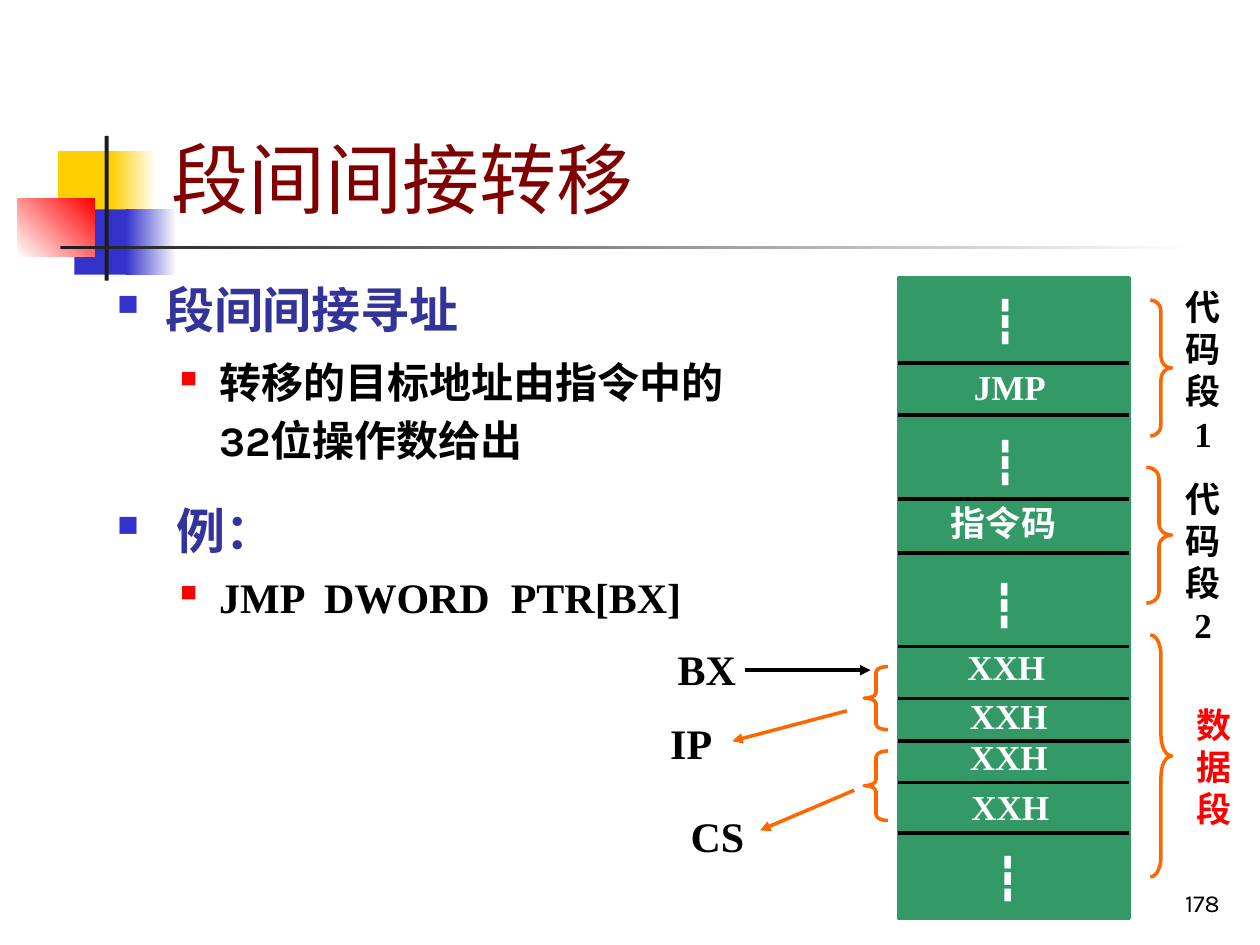
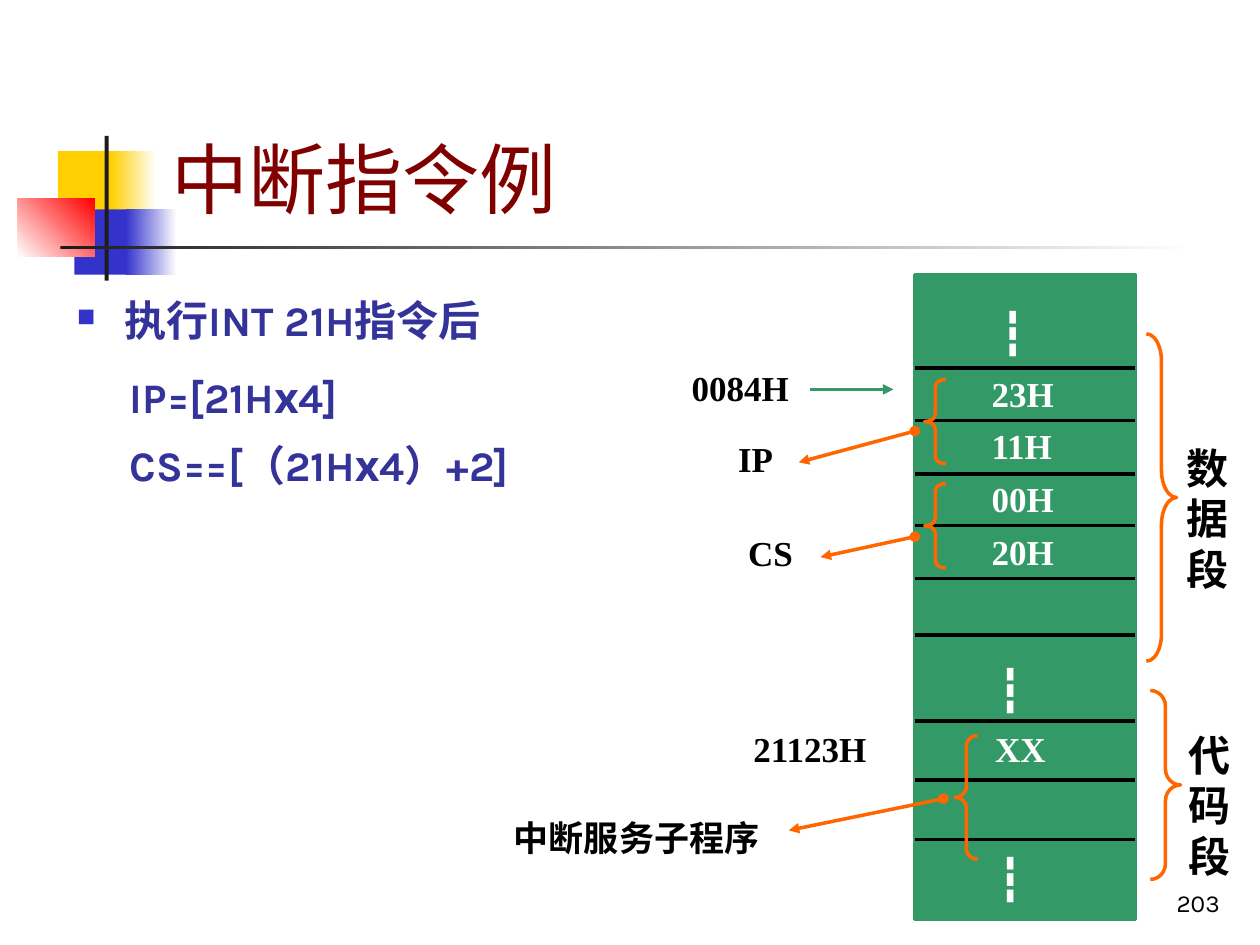
import pptx
import pptx.util
import pptx.dml.color
import pptx.enum.shapes
import pptx.enum.text
import pptx.oxml.ns
from lxml import etree

Cm, Pt = pptx.util.Cm, pptx.util.Pt
RGB = pptx.dml.color.RGBColor
SHAPE = pptx.enum.shapes.MSO_SHAPE
ALIGN = pptx.enum.text.PP_ALIGN
ANCHOR = pptx.enum.text.MSO_ANCHOR
qn = pptx.oxml.ns.qn

BLACK, WHITE = RGB(0, 0, 0), RGB(255, 255, 255)
INK = RGB(0x1C, 0x1C, 0x1C)
YELLOW = RGB(0xFF, 0xCF, 0x01)
BLUE = RGB(0x33, 0x33, 0xCC)
INDIGO = RGB(0x33, 0x33, 0x99)
RED = RGB(0xFF, 0, 0)
MAROON = RGB(0x80, 0, 0)
GREEN = RGB(0x33, 0x99, 0x66)
ORANGE = RGB(0xFF, 0x66, 0)
SANS, SERIF = "Karla", "Times New Roman"

# Shared decoration: box in cm, colours (one is solid, two a gradient), angle
DECORATION = [
    ((1.17, 3.05, 1.22, 1.32), [YELLOW], 0),
    ((2.24, 3.05, 0.91, 1.32), [YELLOW, WHITE], 0),
    ((1.5, 4.22, 1.17, 1.32), [BLUE], 0),
    ((2.54, 4.22, 1.02, 1.32), [BLUE, WHITE], 0),
    ((0.36, 4.01, 1.55, 1.17), [WHITE, RED], 45),
    ((2.11, 2.74, 0.08, 2.92), [INK], 0),
    ((1.22, 4.95, 22.86, 0.08), [INK, WHITE], 0),
]
TITLE_BOX = (3.2, 0.58, 21.64, 4.06)
NUMBER_BOX = (19.56, 17.35, 5.28, 1.27)

# Body levels: left margin, first-line indent, bullet colour, bullet size in %
LEVELS = {
    "main": (0.97, -0.97, BLUE, 60),
    "sub": (2.06, -0.79, RED, 55),
    "plain": (1.07, 0, None, None),
}

# Slide content, positions in cm.
# body: text, level, size, font, colour, space before and after in % of size
# labels: text, x, y; segments: text, x, y, colour
# braces: x, y, width, height; arrows: start, end, colour, oval start
SLIDES = [
    dict(
        title="段间间接转移", number="178",
        body_box=(2.11, 5.33, 12.83, 10.31), line_spacing=1.15,
        body=[
            ("段间间接寻址", "main", 28, SANS, INDIGO, 20, 5),
            ("转移的目标地址由指令中的32位操作数给出", "sub", 24, SANS, BLACK, 20, 40),
            (" 例：", "main", 28, SANS, INDIGO, 20, 5),
            ("JMP  DWORD  PTR[BX]", "sub", 24, SERIF, BLACK, 5, 5),
        ],
        memory=(18.11, 5.61, 4.65, 12.9),
        dividers=[7.32, 8.37, 10.06, 11.15, 13.03, 14.08, 14.94, 15.77, 16.79],
        cells=[("JMP", 19.38, 7.24), ("指令码", 18.92, 9.98), ("XXH", 19.25, 12.88),
               ("XXH", 19.3, 13.87), ("XXH", 19.3, 14.71), ("XXH", 19.33, 15.7)],
        dots=[(19.76, 5.82), (19.76, 8.66), (19.74, 11.53), (19.81, 17.04)],
        tag_size=24,
        tags=[("BX", 13.41, 12.85), ("IP", 13.26, 14.33), ("CS", 13.67, 16.21)],
        segment_size=20,
        segments=[("代码段1", 23.62, 5.64, BLACK), ("代码段2", 23.62, 9.5, BLACK),
                  ("数据段", 23.83, 14.05, RED)],
        left_braces=[(17.42, 13.44, 0.48, 1.27), (17.42, 15.14, 0.48, 1.4)],
        right_braces=[(23.19, 6.05, 0.43, 2.74), (23.11, 9.42, 0.51, 2.74),
                      (23.19, 12.8, 0.43, 4.88)],
        arrows=[((15.01, 13.51), (17.55, 13.51), BLACK, False),
                ((17.07, 14.33), (14.76, 14.94), ORANGE, False),
                ((17.22, 15.93), (15.32, 16.74), ORANGE, False)],
    ),
    dict(
        title="中断指令例", number="203",
        body_box=(1.3, 5.72, 11.63, 8.41), line_spacing=1.1,
        body=[
            ("执行INT 21H指令后", "main", 24, SANS, INDIGO, 20, 30),
            ("IP=[21Hх4]", "plain", 24, SANS, INDIGO, 20, 10),
            ("CS==[（21Hх4）+2]", "plain", 24, SANS, INDIGO, 20, 5),
        ],
        memory=(18.44, 5.54, 4.45, 13.0),
        dividers=[7.42, 8.48, 9.55, 10.59, 11.66, 12.8, 14.53, 15.72, 16.92],
        cells=[("23H", 19.74, 7.39), ("11H", 19.74, 8.43), ("00H", 19.74, 9.5),
               ("20H", 19.74, 10.57), ("XX", 19.81, 14.55)],
        dots=[(19.91, 6.05), (19.86, 13.26), (19.86, 17.07)],
        tag_size=20,
        tags=[("0084H", 13.69, 7.26), ("IP", 14.63, 8.69), ("CS", 14.83, 10.59),
              ("21123H", 14.94, 14.53), ("中断服务子程序", 10.11, 16.33)],
        segment_size=24,
        segments=[("数据段", 23.67, 8.79, BLACK), ("代码段", 23.7, 14.58, BLACK)],
        left_braces=[(18.64, 7.65, 0.43, 1.7), (18.64, 9.75, 0.43, 1.7),
                     (19.25, 14.83, 0.46, 2.49)],
        right_braces=[(23.11, 6.73, 0.61, 6.6), (23.19, 13.92, 0.61, 3.81)],
        arrows=[((16.33, 7.85), (18.01, 7.85), GREEN, False),
                ((18.44, 8.69), (16.1, 9.32), ORANGE, True),
                ((18.44, 10.82), (16.54, 11.23), ORANGE, True),
                ((19.02, 16.1), (15.9, 16.74), ORANGE, True)],
    ),
]


def cm_all(values):
    return [Cm(v) for v in values]


def style(p, size, font, color, bold):
    p.font.size, p.font.name, p.font.bold = Pt(size), font, bold
    p.font.color.rgb = color


def add_text(s, text, box, size, font, color, bold=False,
             align=ALIGN.LEFT, anchor=ANCHOR.TOP):
    tf = s.shapes.add_textbox(*cm_all(box)).text_frame
    tf.word_wrap, tf.vertical_anchor = True, anchor
    p = tf.paragraphs[0]
    p.text, p.alignment = text, align
    style(p, size, font, color, bold)


def add_label(s, text, x, y, size, color):
    """Bold one-line label, in a box as wide as its characters need."""
    width = Pt(size * (len(text) + 0.5)).cm + 0.51
    add_text(s, text, (x, y, width, Pt(size * 1.15).cm + 0.25),
             size, SERIF, color, True)


def add_rect(s, box, colors, angle=0):
    sp = s.shapes.add_shape(SHAPE.RECTANGLE, *cm_all(box))
    sp.shadow.inherit = False
    sp.line.fill.background()
    if len(colors) == 1:
        sp.fill.solid()
        sp.fill.fore_color.rgb = colors[0]
    else:
        sp.fill.gradient()
        sp.fill.gradient_angle = angle
        for stop, position, color in zip(sp.fill.gradient_stops, (0, 1), colors):
            stop.position, stop.color.rgb = position, color
    return sp


def add_line(s, start, end, color, head=None, tail=None):
    line = s.shapes.add_connector(pptx.enum.shapes.MSO_CONNECTOR.STRAIGHT,
                                  *cm_all(start + end))
    line.line.width, line.line.color.rgb = Pt(2), color
    props = line.element.spPr
    for tag, kind in (("a:headEnd", head), ("a:tailEnd", tail)):
        if kind:
            etree.SubElement(props.find(qn("a:ln")), qn(tag), type=kind)
    etree.SubElement(props, qn("a:effectLst"))


def add_brace(s, kind, box):
    sp = s.shapes.add_shape(kind, *cm_all(box))
    sp.shadow.inherit = False
    sp.fill.background()
    sp.line.width, sp.line.color.rgb = Pt(2), ORANGE
    width, height = box[2:]
    sp.adjustments[0] = height / 12 / width


def add_body(s, items, box, line_spacing):
    tf = s.shapes.add_textbox(*cm_all(box)).text_frame
    tf.word_wrap = True
    for i, (text, level, size, font, color, before, after) in enumerate(items):
        p = tf.paragraphs[0] if i == 0 else tf.add_paragraph()
        p.text = text
        margin, indent, bullet_color, bullet_size = LEVELS[level]
        props = p._p.get_or_add_pPr()
        props.set("marL", str(Cm(margin)))
        props.set("indent", str(Cm(indent)))
        if bullet_color is not None:
            clr = etree.SubElement(props, qn("a:buClr"))
            etree.SubElement(clr, qn("a:srgbClr"), val=str(bullet_color))
            etree.SubElement(props, qn("a:buSzPct"), val=str(bullet_size * 1000))
            etree.SubElement(props, qn("a:buChar"), char="■")
        p.line_spacing = line_spacing
        if i:
            p.space_before = Pt(size * before / 100)
        p.space_after = Pt(size * after / 100)
        style(p, size, font, color, True)


def add_memory(s, box, dividers):
    column = add_rect(s, box, [GREEN])
    column.line.width, column.line.color.rgb = Pt(2), GREEN
    left, right = box[0], box[0] + box[2]
    for y in dividers:
        add_line(s, (left, y), (right, y), BLACK)


def build_slide(prs, d):
    s = prs.slides.add_slide(prs.slide_layouts[6])
    # Frame and text
    for box, colors, angle in DECORATION:
        add_rect(s, box, colors, angle)
    add_text(s, d["number"], NUMBER_BOX, 14, SANS, BLACK,
             align=ALIGN.RIGHT, anchor=ANCHOR.BOTTOM)
    add_text(s, d["title"], TITLE_BOX, 44, SANS, MAROON, anchor=ANCHOR.BOTTOM)
    add_body(s, d["body"], d["body_box"], d["line_spacing"])
    # Memory column and its contents
    add_memory(s, d["memory"], d["dividers"])
    for text, x, y in d["cells"]:
        add_label(s, text, x, y, 20, WHITE)
    for x, y in d["dots"]:
        add_label(s, "┇", x, y, 24, WHITE)
    # Registers and addresses, segments, braces, arrows
    for text, x, y in d["tags"]:
        add_label(s, text, x, y, d["tag_size"], BLACK)
    size = d["segment_size"]
    for text, x, y, color in d["segments"]:
        height = Pt(size * 1.2 * len(text)).cm + 0.25
        add_text(s, text, (x, y, 1.27, height), size, SERIF, color, True,
                 align=ALIGN.CENTER)
    for box in d["left_braces"]:
        add_brace(s, SHAPE.LEFT_BRACE, box)
    for box in d["right_braces"]:
        add_brace(s, SHAPE.RIGHT_BRACE, box)
    for start, end, color, oval in d["arrows"]:
        add_line(s, start, end, color, "oval" if oval else None, "triangle")


def main():
    prs = pptx.Presentation()
    prs.slide_width, prs.slide_height = Cm(25.4), Cm(19.05)
    for content in SLIDES:
        build_slide(prs, content)
    prs.save("out.pptx")


if __name__ == "__main__":
    main()
